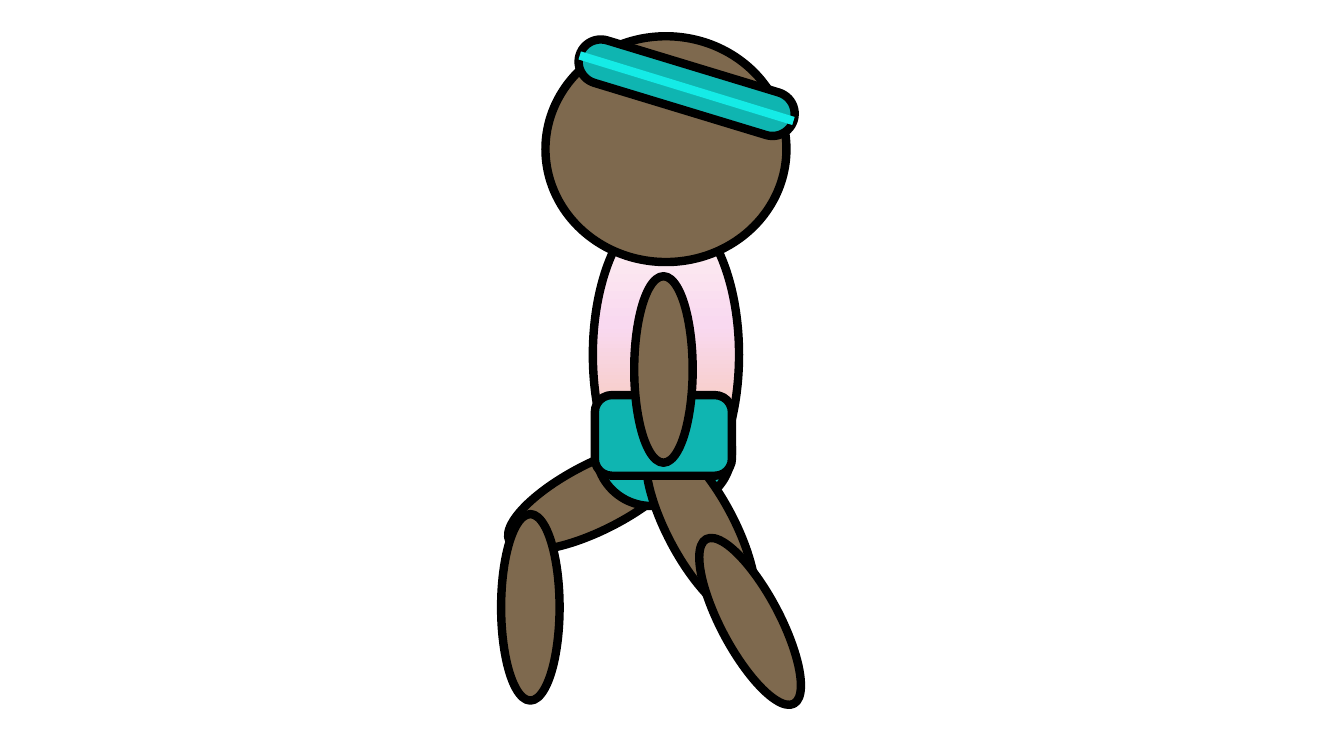
"""Draw a walking figure with a headband on one slide."""
from lxml.etree import SubElement
from pptx import Presentation
from pptx.dml.color import RGBColor
from pptx.enum.shapes import MSO_CONNECTOR, MSO_SHAPE
from pptx.oxml.ns import qn
from pptx.util import Inches, Pt

SKIN, TEAL, BRIGHT_TEAL, BLACK = "7E694E", "0FB5B1", "15EBE6", "000000"
SHIRT_STOPS = [(0, "FEF5F0"), (40, "F9D9F0"), (83, "F6C6AD"), (100, "F6C6AD")]
OUTLINE = Pt(6)


def paint(color_format, color):
    color_format.fore_color.rgb = RGBColor.from_string(color)


def add_part(shapes, box, color, rotation=0, corner=None):
    kind = MSO_SHAPE.OVAL if corner is None else MSO_SHAPE.ROUNDED_RECTANGLE
    shape = shapes.add_shape(kind, *[Inches(value) for value in box])
    if corner is not None:
        shape.adjustments[0] = corner
    shape.rotation = rotation
    shape.shadow.inherit = False
    shape.fill.solid()
    paint(shape.fill, color)
    shape.line.fill.solid()
    paint(shape.line.fill, BLACK)
    shape.line.width = OUTLINE
    return shape


presentation = Presentation()
presentation.slide_width = Inches(13.33)
presentation.slide_height = Inches(7.5)
slide = presentation.slides.add_slide(presentation.slide_layouts[6])
shapes = slide.shapes

add_part(shapes, (5.59, 3.95, 0.66, 1.95), SKIN, rotation=62.9)

shirt = add_part(shapes, (5.88, 2.04, 1.45, 2.96), SKIN)
shirt.fill.gradient()
shirt.fill.gradient_angle = 270
stop_list = shirt._element.spPr.find(qn("a:gradFill")).find(qn("a:gsLst"))
for stop in list(stop_list):
    stop_list.remove(stop)
for percent, color in SHIRT_STOPS:
    stop = SubElement(stop_list, qn("a:gs"), pos=str(percent * 1000))
    SubElement(stop, qn("a:srgbClr"), val=color)

add_part(shapes, (5.91, 3.92, 1.35, 1.1), TEAL, corner=0.5)
add_part(shapes, (4.97, 5.1, 0.58, 1.85), SKIN)
add_part(shapes, (5.41, 0.36, 2.39, 2.24), SKIN)

add_part(shapes, (5.7, 0.65, 2.22, 0.44), TEAL, rotation=16.9, corner=0.5)
stripe = shapes.add_connector(
    MSO_CONNECTOR.STRAIGHT, Inches(5.75), Inches(0.55), Inches(7.87), Inches(1.2))
stripe.line.fill.solid()
paint(stripe.line.fill, BRIGHT_TEAL)
stripe.line.width = OUTLINE
SubElement(stripe._element.spPr, qn("a:effectLst"))

front_leg = shapes.add_group_shape()
for box in [(6.62, 4.26, 0.66, 1.95), (7.15, 5.24, 0.58, 1.85)]:
    add_part(front_leg.shapes, box, SKIN, rotation=332)

add_part(shapes, (5.9, 3.92, 1.36, 0.8), TEAL, corner=0.211)
add_part(shapes, (6.29, 2.74, 0.58, 1.85), SKIN)

presentation.save("out.pptx")
